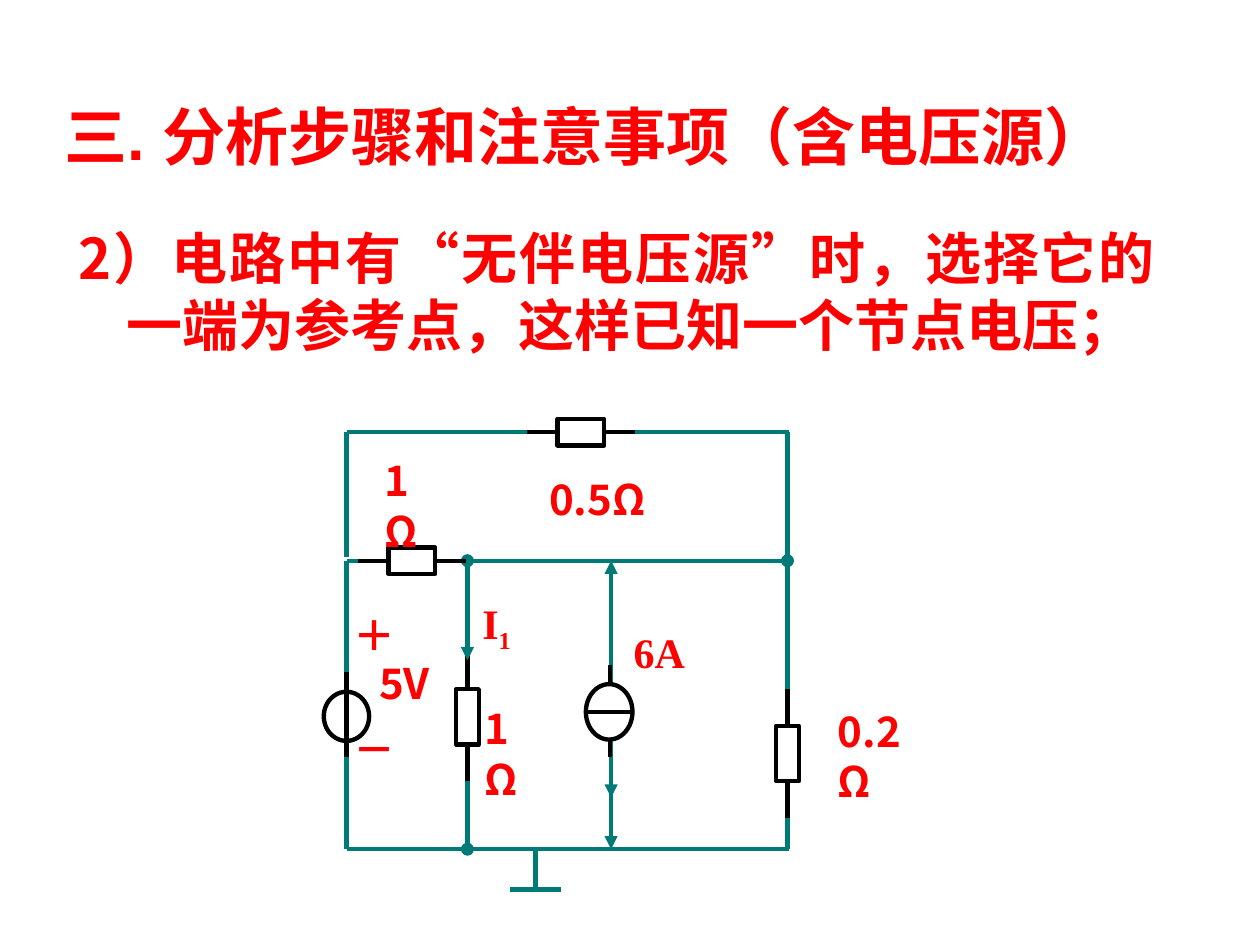
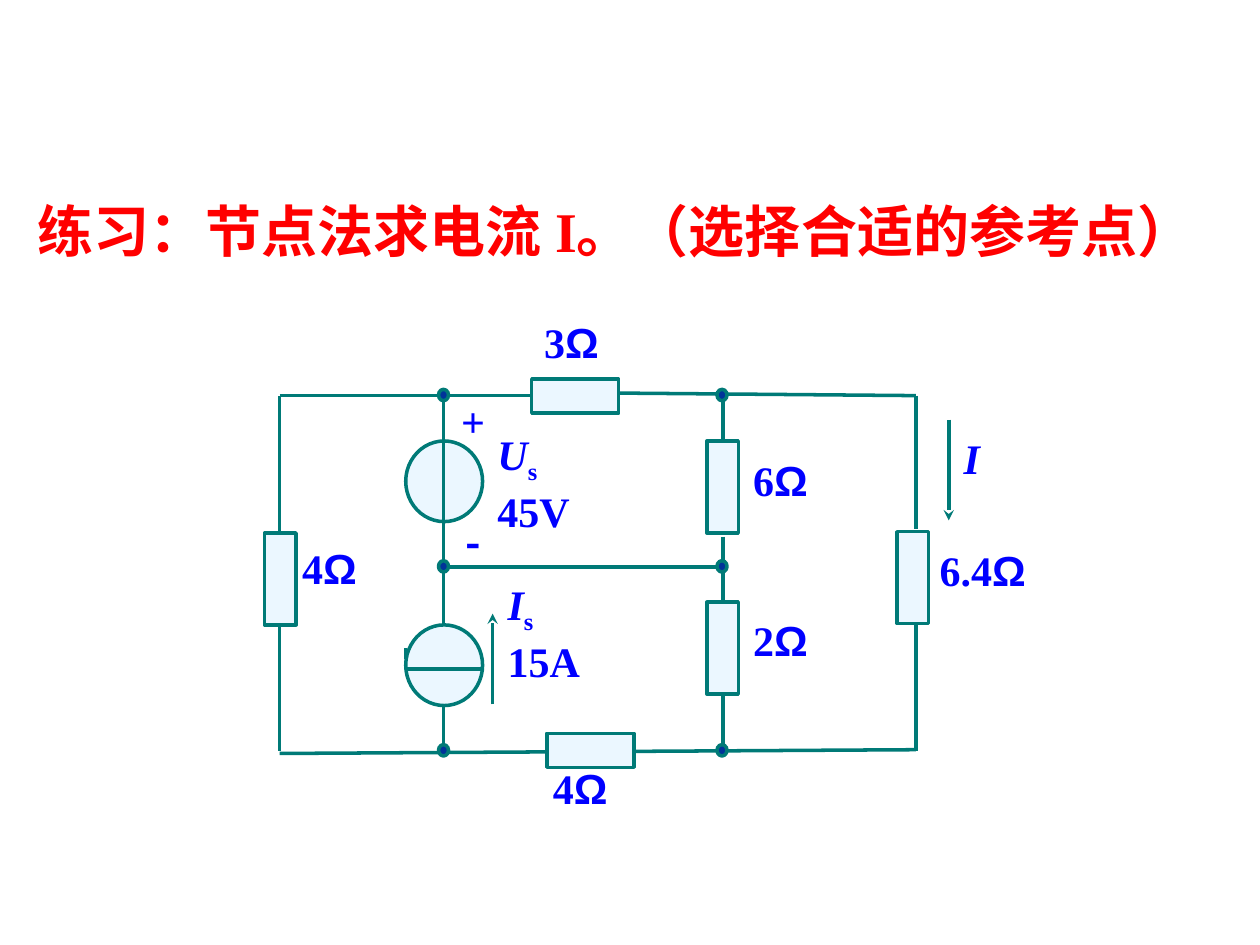
from lxml import etree
from pptx import Presentation
from pptx.dml.color import RGBColor
from pptx.enum import shapes, text
from pptx.oxml import ns
from pptx.util import Inches, Pt

COLOURS = {"red": "FF0000", "blue": "0000FF", "teal": "007A77", "black": "000000",
           "white": "FFFFFF", "pale": "EBF7FF", "navy": "003399"}
SANS, SERIF, ARIAL = "Noto Sans CJK SC", "Times New Roman", "Arial"
SHAPE = shapes.MSO_SHAPE
TITLE_ONLY, TITLE_AND_BODY = 5, 1
SUB = {"baseline": -25000, "italic": False}


def rgb(colour):
    return RGBColor.from_string(COLOURS[colour])


def place(shape, x, y, w, h):
    for side, length in {"left": x, "top": y, "width": w, "height": h}.items():
        setattr(shape, side, Inches(length))


def add_spans(para, spans, **base):
    """Append (text, changes) spans; every span starts from the base format."""
    for words, changes in spans:
        style = {"name": SERIF, "size": 24, "bold": True, "italic": False,
                 "colour": "red", **base, **changes}
        span = para.add_run()
        span.text = words
        font = span.font
        font.size = Pt(style["size"])
        font.color.rgb = rgb(style["colour"])
        for key in ("name", "bold", "italic"):
            setattr(font, key, style[key])
        properties = span._r.get_or_add_rPr()
        etree.SubElement(properties, ns.qn("a:ea")).set("typeface", SANS)
        if "baseline" in style:
            properties.set("baseline", str(style["baseline"]))


def format_frame(frame, anchor=text.MSO_ANCHOR.TOP, wrap=True):
    for key, value in {"auto_size": text.MSO_AUTO_SIZE.NONE, "word_wrap": wrap,
                       "vertical_anchor": anchor}.items():
        setattr(frame, key, value)


def set_title(page, box, spans, size, anchor):
    title = page.shapes.title
    place(title, *box)
    format_frame(title.text_frame, anchor)
    para = title.text_frame.paragraphs[0]
    para.alignment = text.PP_ALIGN.LEFT
    add_spans(para, spans, size=size)


def add_label(page, x, y, w, lines, wrap=True, centred=False, **base):
    """Circuit label; each line is a list of spans."""
    box = page.shapes.add_textbox(Inches(x), Inches(y), Inches(w), Inches(0.46 * len(lines) + 0.04))
    frame = box.text_frame
    format_frame(frame, text.MSO_ANCHOR.MIDDLE if centred else text.MSO_ANCHOR.TOP, wrap)
    for index, spans in enumerate(lines):
        para = frame.add_paragraph() if index else frame.paragraphs[0]
        para.alignment = text.PP_ALIGN.CENTER if centred else text.PP_ALIGN.LEFT
        add_spans(para, spans, **base)


def add_wire(page, x1, y1, x2, y2, width, colour="teal", head=None, tail=None):
    wire = page.shapes.add_connector(shapes.MSO_CONNECTOR.STRAIGHT,
                                     Inches(x1), Inches(y1), Inches(x2), Inches(y2))
    wire.line.color.rgb = rgb(colour)
    wire.line.width = Pt(width)
    properties = wire._element.spPr
    outline = properties.find(ns.qn("a:ln"))
    for tag, kind in (("a:headEnd", head), ("a:tailEnd", tail)):
        if kind:
            etree.SubElement(outline, ns.qn(tag)).set("type", kind)
    etree.SubElement(properties, ns.qn("a:effectLst"))


def add_part(page, kind, x, y, w, h, fill, line, width):
    part = page.shapes.add_shape(kind, Inches(x), Inches(y), Inches(w), Inches(h))
    part.shadow.inherit = False
    part.fill.solid()
    part.fill.fore_color.rgb = rgb(fill)
    part.line.color.rgb = rgb(line)
    part.line.width = Pt(width)


def add_leaded_resistor(page, x, y, vertical):
    """Resistor centred on x, y with a black lead at both ends."""
    w, h, reach = (0.18, 0.44, 0.51) if vertical else (0.37, 0.21, 0.43)
    add_part(page, SHAPE.RECTANGLE, x - w / 2, y - h / 2, w, h, "white", "black", 2.5)
    for sign in (-1, 1):
        if vertical:
            ends = x, y + sign * h / 2, x, y + sign * reach
        else:
            ends = x + sign * w / 2, y, x + sign * reach, y
        add_wire(page, *ends, 2.5, "black")


def build_steps_page(deck):
    page = deck.slides.add_slide(deck.slide_layouts[TITLE_AND_BODY])
    set_title(page, (0.41, 0.74, 9.16, 0.67),
              [("三. ", {"name": ARIAL}), ("分析步骤和注意事项（含电压源）", {"name": SANS})],
              36, text.MSO_ANCHOR.MIDDLE)
    body = page.placeholders[1]
    place(body, 0.52, 1.72, 8.75, 5.5)
    format_frame(body.text_frame)
    para = body.text_frame.paragraphs[0]
    para.alignment = text.PP_ALIGN.JUSTIFY
    para.space_before = Pt(0)
    properties = para._p.get_or_add_pPr()
    for key, indent in {"marL": 0.38, "indent": -0.38}.items():
        properties.set(key, str(Inches(indent)))
    etree.SubElement(properties, ns.qn("a:buNone"))
    add_spans(para, [("2）电路中有", {}), ("“", {"name": ARIAL}),
                     ("无伴电压源”时，选择它的一端为参考点，这样已知一个节点电压；", {})],
              name=SANS, size=32)

    left, inner, source, right = 2.75, 3.71, 4.85, 6.25
    top, middle, bottom = 3.43, 4.45, 6.74
    for y in (top, middle, bottom):
        add_wire(page, left, y, right + 0.01, y, 2.5)
    for x in (left, right):
        add_wire(page, x, middle - 0.03, x, top, 2.5)
    for x, head, tail in ((left, None, None), (source, "triangle", "triangle"),
                          (inner, "oval", "oval"), (right, "oval", None)):
        add_wire(page, x, middle, x, bottom, 2.5, head=head, tail=tail)
    add_wire(page, source, 6.01, source, 6.33, 2.5, tail="triangle")
    add_wire(page, 4.25, bottom, 4.25, 7.04, 2.5)
    add_wire(page, 4.05, 7.06, 4.45, 7.06, 2.5)

    for x, y, vertical in ((4.61, top, False), (3.27, middle, False),
                           (inner, 5.69, True), (right, 5.98, True)):
        add_leaded_resistor(page, x, y, vertical)
    add_wire(page, inner, 4.91, inner, 5.24, 2.5, tail="triangle")

    add_part(page, SHAPE.OVAL, 4.65, 5.43, 0.37, 0.44, "white", "black", 2.5)
    add_part(page, SHAPE.OVAL, 2.57, 5.49, 0.36, 0.39, "white", "black", 2.5)
    for ends in ((4.65, 5.65, 5.02, 5.65), (4.84, 5.28, 4.84, 5.43),
                 (4.84, 5.87, 4.84, 6.01), (left, 5.33, left, 6.01)):
        add_wire(page, *ends, 2.5, "black")

    for x, y, w, words, name, wrap in (
            (4.93, 4.92, 0.61, "6A", SERIF, False), (2.91, 5.17, 0.61, "5V", SANS, False),
            (3.75, 5.53, 0.6, "1Ω", SANS, True), (2.95, 3.56, 0.6, "1Ω", SANS, True),
            (6.55, 5.55, 0.9, "0.2Ω", SANS, True), (4.26, 3.71, 1.04, "0.5Ω", SANS, True),
            (2.71, 5.69, 0.54, "－", SERIF, True), (2.71, 4.79, 0.54, "＋", SERIF, True)):
        add_label(page, x, y, w, [[(words, {})]], wrap, name=name)
    add_label(page, 3.73, 4.69, 0.8, [[("I", {}), ("1", SUB)]])


def build_exercise_page(deck):
    page = deck.slides.add_slide(deck.slide_layouts[TITLE_ONLY])
    set_title(page, (0.2, 1.51, 9.56, 1.17),
              [("练习：节点法求电流 I。（选择合适的参考点）", {})], 32, text.MSO_ANCHOR.TOP)

    left, source, middle, right = 2.22, 3.52, 5.74, 7.27
    top, centre, bottom = 3.14, 4.5, 5.96
    for ends in ((left, top, 4.22, top), (4.91, 3.12, right, top),
                 (left, 5.98, right, 5.95), (source, centre, middle, centre),
                 (left, top, left, 4.23), (left, 4.96, left, bottom),
                 (source, top, source, bottom),
                 (middle, top, middle, 3.49), (middle, 4.26, middle, 4.78),
                 (middle, 5.52, middle, bottom),
                 (right, top, right, 4.2), (right, 4.95, right, bottom)):
        add_wire(page, *ends, 2)
    for ends in ((7.53, 3.33, 7.53, 4.13), (3.91, 5.59, 3.91, 4.87)):
        add_wire(page, *ends, 2, tail="stealth")

    for y in (3.5, 4.96):
        add_part(page, SHAPE.OVAL, 3.22, y, 0.61, 0.64, "pale", "teal", 2)
    for ends in ((source, 3.5, source, 4.14), (3.22, 5.31, 3.83, 5.31),
                 (3.22, 5.23, 3.22, 5.14)):
        add_wire(page, *ends, 2)
    for x, y in ((2.1, 4.23), (5.61, 3.5), (5.61, 4.78), (7.12, 4.22)):
        add_part(page, SHAPE.RECTANGLE, x, y, 0.25, 0.73, "pale", "teal", 2)
    for x, y in ((4.22, 3.01), (4.34, 5.82)):
        add_part(page, SHAPE.RECTANGLE, x, y, 0.69, 0.27, "pale", "teal", 2)
    for x in (3.48, 5.69):
        for y in (3.09, 4.45, 5.91):
            add_part(page, SHAPE.OVAL, x, y, 0.08, 0.09, "navy", "teal", 2)

    for x, y, ohms in ((4.22, 2.46, "3"), (2.3, 4.26, "4"), (5.88, 3.56, "6"),
                       (5.88, 4.83, "2"), (4.29, 6, "4"), (7.36, 4.27, "6.4")):
        add_label(page, x, y, 1.1, [[(ohms, {}), ("Ω", {"name": ARIAL})]], colour="blue")
    for x, y, symbol, value in ((3.85, 3.35, "U", "45V"), (3.93, 4.54, "I", "15A")):
        add_label(page, x, y, 1, [[(symbol, {"italic": True}), ("s", SUB)], [(value, {})]],
                  colour="blue")
    add_label(page, 7.55, 3.38, 0.45, [[("I", {"italic": True})]], colour="blue")
    add_label(page, 3.56, 3.09, 0.39, [[("+", {})]], False, True, colour="blue")
    add_label(page, 3.56, 4.05, 0.39, [[("-", {})]], False, True, colour="blue", name=SANS)


def main():
    deck = Presentation()
    deck.slide_width, deck.slide_height = Inches(10), Inches(7.5)
    build_steps_page(deck)
    build_exercise_page(deck)
    deck.save("out.pptx")


if __name__ == "__main__":
    main()
